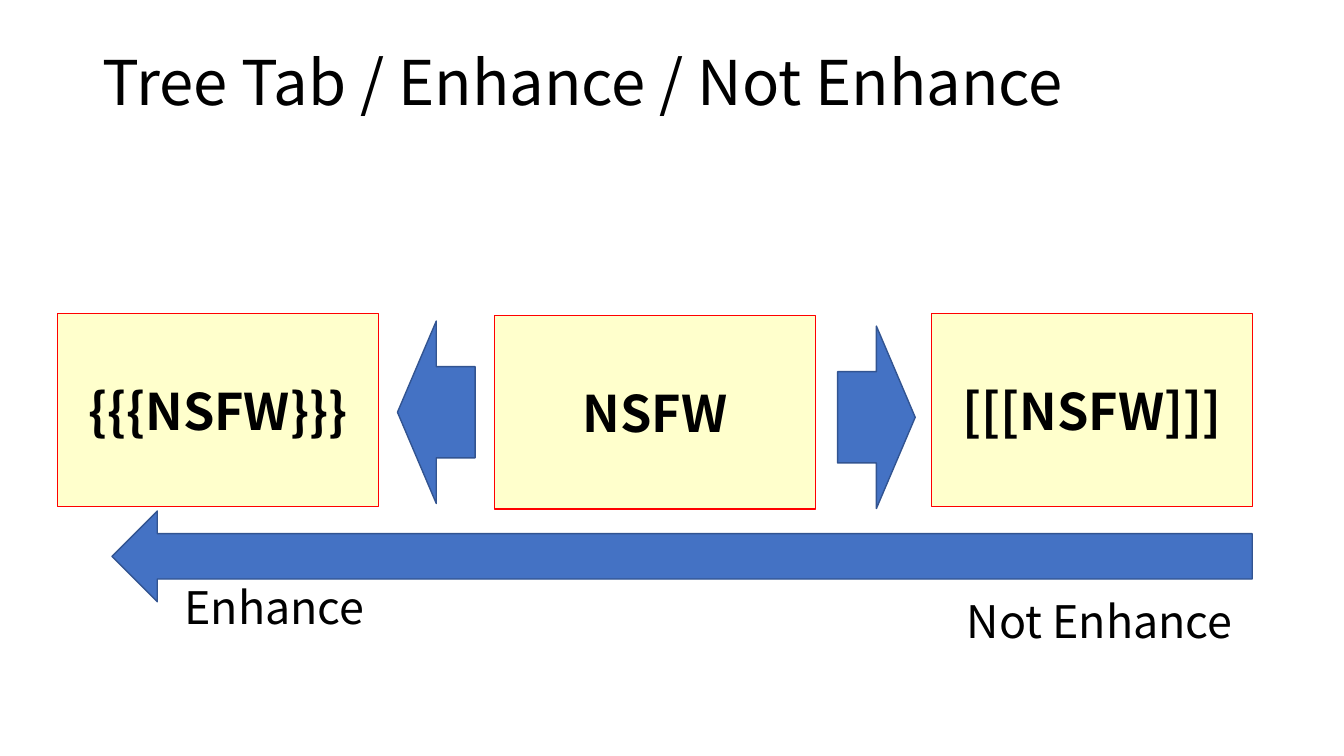
from dataclasses import dataclass

from pptx import Presentation
from pptx.dml.color import RGBColor
from pptx.enum.shapes import MSO_SHAPE
from pptx.enum.text import MSO_ANCHOR, PP_ALIGN
from pptx.util import Inches, Pt

RECT = MSO_SHAPE.RECTANGLE
LEFT_ARROW, RIGHT_ARROW = MSO_SHAPE.LEFT_ARROW, MSO_SHAPE.RIGHT_ARROW
LEFT, CENTER = PP_ALIGN.LEFT, PP_ALIGN.CENTER
TOP, MIDDLE = MSO_ANCHOR.TOP, MSO_ANCHOR.MIDDLE

BLACK = RGBColor(0x00, 0x00, 0x00)
CREAM = RGBColor(0xFF, 0xFF, 0xCC)
RED = RGBColor(0xFF, 0x00, 0x00)
BLUE = RGBColor(0x44, 0x72, 0xC4)
NAVY = RGBColor(0x32, 0x54, 0x91)
FONT = "Noto Sans CJK JP"

# Three box columns with equal gaps, in inches
MARGIN, PITCH = 0.57, 4.335
BOX_W, BOX_H, BOX_TOP = 3.18, 1.92, 3.11
ARROW_W, ARROW_H = 0.77, 1.81
LABEL_H = 0.64
SCALE_LEFT, SCALE_TOP, SCALE_H = 1.11, 5.07, 0.9


@dataclass(frozen=True)
class Prompt:
    """A prompt box in one column of the grid."""
    text: str
    col: int
    drop: float = 0


@dataclass(frozen=True)
class GapArrow:
    """An arrow centred in the gap after a column, with a small offset."""
    kind: MSO_SHAPE
    col: int
    dx: float
    dy: float


@dataclass(frozen=True)
class Label:
    """A plain text box."""
    text: str
    left: float
    top: float
    width: float = BOX_W
    height: float = LABEL_H


PROMPTS = (Prompt("{{{NSFW}}}", 0), Prompt("NSFW", 1, 0.02), Prompt("[[[NSFW]]]", 2))
GAP_ARROWS = (GapArrow(LEFT_ARROW, 0, 0, 0.02), GapArrow(RIGHT_ARROW, 1, 0.03, 0.07))
TITLE = Label("Tree Tab / Enhance / Not Enhance", 0.92, 0.4, 11.5, 0.9)
LABELS = (Label("Enhance", 1.73, 5.7), Label("Not Enhance", 9.49, 5.84))


def column_left(col: int) -> float:
    """Return the left edge of a box column."""
    return MARGIN + PITCH * col


def write(sp, text: str, *, size: int, bold: bool = False, align=LEFT,
          anchor=TOP, spacing: float = 1.0) -> None:
    """Put one formatted paragraph into a shape."""
    tf = sp.text_frame
    tf.word_wrap = True
    tf.vertical_anchor = anchor
    p = tf.paragraphs[0]
    p.alignment, p.line_spacing = align, spacing
    r = p.add_run()
    r.text = text
    r.font.name, r.font.size, r.font.bold = FONT, Pt(size), bold
    r.font.color.rgb = BLACK


def add_shape(slide, kind, left: float, top: float, width: float, height: float,
              *, fill: RGBColor = BLUE, line: RGBColor = NAVY, weight: float = 1):
    """Draw a filled, outlined preset shape without a shadow."""
    sp = slide.shapes.add_shape(kind, *map(Inches, (left, top, width, height)))
    sp.shadow.inherit = False
    sp.fill.solid()
    sp.fill.fore_color.rgb = fill
    sp.line.color.rgb = line
    sp.line.width = Pt(weight)
    return sp


def add_prompt(slide, prompt: Prompt) -> None:
    """Draw a prompt box with its bold text."""
    sp = add_shape(slide, RECT, column_left(prompt.col), BOX_TOP + prompt.drop,
                   BOX_W, BOX_H, fill=CREAM, line=RED, weight=0.75)
    write(sp, prompt.text, size=36, bold=True, align=CENTER, anchor=MIDDLE)


def add_gap_arrow(slide, arrow: GapArrow) -> None:
    """Draw an arrow between two neighbouring boxes."""
    left = column_left(arrow.col) + (BOX_W + PITCH - ARROW_W) / 2 + arrow.dx
    top = BOX_TOP + (BOX_H - ARROW_H) / 2 + arrow.dy
    add_shape(slide, arrow.kind, left, top, ARROW_W, ARROW_H)


def add_label(slide, label: Label, **fmt) -> None:
    """Draw a text box with the given text format."""
    sp = slide.shapes.add_textbox(
        *map(Inches, (label.left, label.top, label.width, label.height)))
    write(sp, label.text, **fmt)


def main() -> None:
    """Build and save the slide."""
    prs = Presentation()
    prs.slide_width, prs.slide_height = Inches(13.33), Inches(7.5)
    slide = prs.slides.add_slide(prs.slide_layouts[6])
    add_label(slide, TITLE, size=44, anchor=MIDDLE, spacing=0.9)
    for prompt in PROMPTS:
        add_prompt(slide, prompt)
    for arrow in GAP_ARROWS:
        add_gap_arrow(slide, arrow)
    for label in LABELS:
        add_label(slide, label, size=32)
    scale_w = column_left(2) + BOX_W - SCALE_LEFT
    add_shape(slide, LEFT_ARROW, SCALE_LEFT, SCALE_TOP, scale_w, SCALE_H)
    prs.save("out.pptx")


main()
